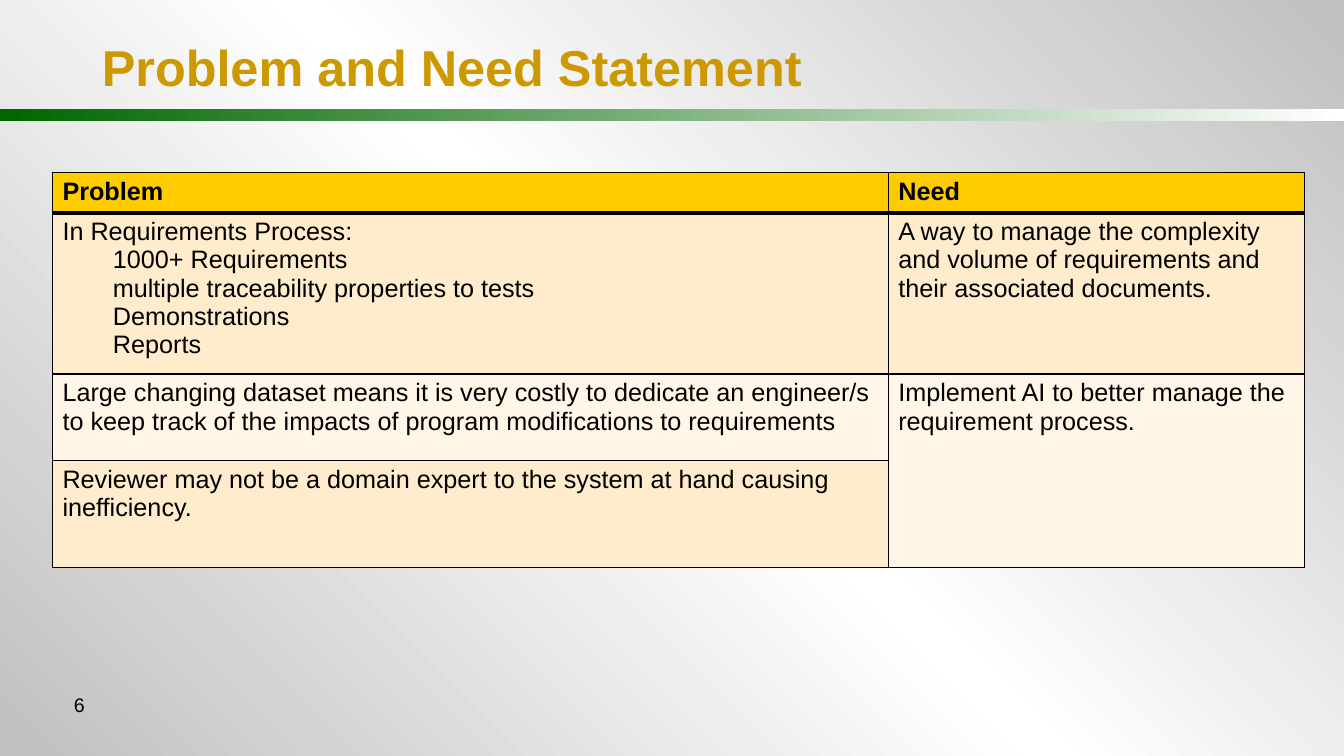
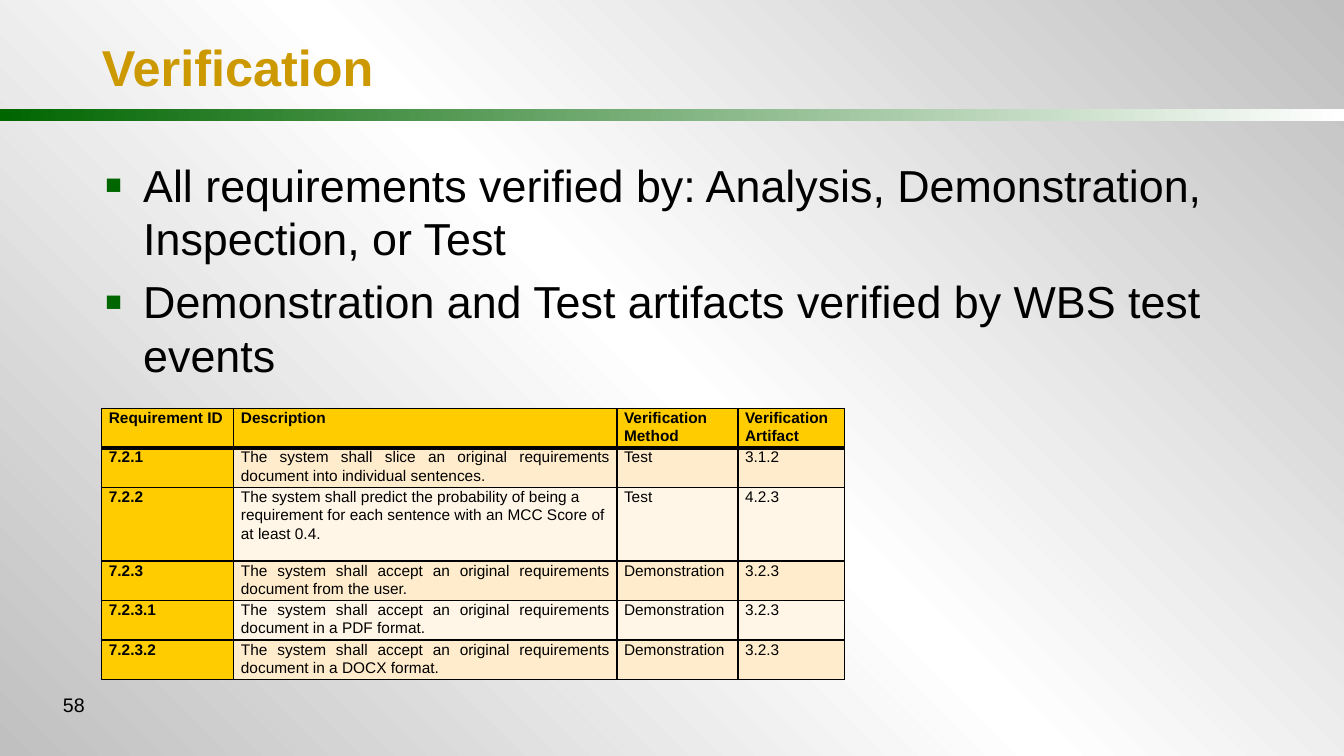
from pptx import Presentation
from pptx.dml.color import RGBColor
from pptx.enum.shapes import MSO_SHAPE
from pptx.enum.text import MSO_ANCHOR, PP_ALIGN
from pptx.oxml.ns import qn
from pptx.util import Inches, Pt
from lxml import etree

RECTANGLE = MSO_SHAPE.RECTANGLE
MIDDLE = MSO_ANCHOR.MIDDLE
LEFT, RIGHT, JUSTIFY = PP_ALIGN.LEFT, PP_ALIGN.RIGHT, PP_ALIGN.JUSTIFY

FONT = "Arial"
COLORS = {
    "title": "CC9900", "text": "000000", "green": "006600",
    "white": "FFFFFF", "silver": "C0C0C0",
    "header": "FFCC00", "odd": "FFECCC", "even": "FFF6E7",
}
TITLE_ONLY, TITLE_AND_CONTENT = 5, 1

# Content: a cell is a string, or a list of a lead line and its indented lines
NEEDS = [
    ["Problem", "Need"],
    [["In Requirements Process:", "1000+ Requirements",
      "multiple traceability properties to tests", "Demonstrations", "Reports"],
     "A way to manage the complexity and volume of requirements and their associated documents."],
    ["Large changing dataset means it is very costly to dedicate an engineer/s "
     "to keep track of the impacts of program modifications to requirements",
     "Implement AI to better manage the requirement process."],
    ["Reviewer may not be a domain expert to the system at hand causing inefficiency.", ""],
]
METHODS = [
    "All requirements verified by: Analysis, Demonstration, Inspection, or Test",
    "Demonstration and Test artifacts verified by WBS test events",
]
REQUIREMENTS = [
    ["Requirement ID", "Description", "Verification Method", "Verification Artifact"],
    ["7.2.1", "The system shall slice an original requirements document into individual sentences.",
     "Test", "3.1.2"],
    ["7.2.2", "The system shall predict the probability of being a requirement "
     "for each sentence with an MCC Score of at least 0.4.", "Test", "4.2.3"],
    ["7.2.3", "The system shall accept an original requirements document from the user.",
     "Demonstration", "3.2.3"],
    ["7.2.3.1", "The system shall accept an original requirements document in a PDF format.",
     "Demonstration", "3.2.3"],
    ["7.2.3.2", "The system shall accept an original requirements document in a DOCX format.",
     "Demonstration", "3.2.3"],
]


def place(shape, left, top, width, height):
    shape.left, shape.top = Inches(left), Inches(top)
    shape.width, shape.height = Inches(width), Inches(height)


def add_run(paragraph, text, size, color="text", bold=False):
    run = paragraph.add_run()
    run.text = text
    run.font.name, run.font.size, run.font.bold = FONT, Pt(size), bold
    run.font.color.rgb = RGBColor.from_string(COLORS[color])


def set_gradient(fill, element, names, angle):
    """Spread the named colours evenly along the gradient."""
    fill.gradient()
    fill.gradient_angle = angle
    stops = next(element.iter(qn("a:gsLst")))
    for stop in list(stops):
        stops.remove(stop)
    for i, name in enumerate(names):
        stop = etree.SubElement(stops, qn("a:gs"), pos=str(100000 * i // (len(names) - 1)))
        etree.SubElement(stop, qn("a:srgbClr"), val=COLORS[name])


def set_indent(paragraph, left, first=0):
    properties = paragraph._p.get_or_add_pPr()
    properties.set("marL", str(Inches(left)))
    properties.set("indent", str(Inches(first)))
    return properties


def add_bullet(paragraph):
    properties = set_indent(paragraph, 0.38, -0.38)
    color = etree.SubElement(properties, qn("a:buClr"))
    etree.SubElement(color, qn("a:srgbClr"), val=COLORS["green"])
    etree.SubElement(properties, qn("a:buSzPct"), val="120000")
    etree.SubElement(properties, qn("a:buFont"), typeface=FONT)
    etree.SubElement(properties, qn("a:buChar"), char="▪")


def set_borders(cell, top, bottom):
    properties = cell._tc.get_or_add_tcPr()
    for side, points in (("L", 1), ("R", 1), ("T", top), ("B", bottom)):
        line = etree.SubElement(properties, qn("a:ln" + side), w=str(Pt(points)))
        fill = etree.SubElement(line, qn("a:solidFill"))
        etree.SubElement(fill, qn("a:srgbClr"), val=COLORS["text"])


def add_grid(slide, rows, left, top, widths, heights, size,
             id_column=False, compact=False, ragged=()):
    """Add a banded table; cells listed in ragged stay left-aligned."""
    table = slide.shapes.add_table(
        len(rows), len(widths), Inches(left), Inches(top),
        Inches(sum(widths)), Inches(sum(heights))).table
    for column, width in zip(table.columns, widths):
        column.width = Inches(width)
    for row, height in zip(table.rows, heights):
        row.height = Inches(height)
    for r, row in enumerate(rows):
        for c, content in enumerate(row):
            cell = table.cell(r, c)
            heading = r == 0 or (id_column and c == 0)
            set_borders(cell, 3 if r == 1 else 1, 3 if r == 0 else 1)
            cell.fill.solid()
            band = "header" if heading else "odd" if r % 2 else "even"
            cell.fill.fore_color.rgb = RGBColor.from_string(COLORS[band])
            if compact:
                cell.margin_left = cell.margin_right = Inches(0.07)
                cell.margin_top = cell.margin_bottom = 0
            lines = content if isinstance(content, list) else [content]
            for i, line in enumerate(lines):
                frame = cell.text_frame
                paragraph = frame.add_paragraph() if i else frame.paragraphs[0]
                if i:
                    set_indent(paragraph, 0.5)
                if compact:
                    paragraph.line_spacing = 1.07
                    paragraph.alignment = LEFT if (r, c) in ragged else JUSTIFY
                if line:
                    add_run(paragraph, line, size, bold=heading)
    return table


def add_slide(prs, layout, title, number):
    slide = prs.slides.add_slide(prs.slide_layouts[layout])
    heading = slide.shapes.title.text_frame.paragraphs[0]
    heading.alignment = LEFT
    add_run(heading, title, 36, "title", bold=True)
    footer = slide.shapes.add_textbox(Inches(0.26), Inches(6.83), Inches(0.68), Inches(0.5))
    footer.text_frame.word_wrap = True
    page = footer.text_frame.paragraphs[0]
    page.alignment = RIGHT
    add_run(page, str(number), 14)
    return slide


def style_master(prs, slide):
    """Background, title place and green band, shared by all slides."""
    master = prs.slide_master
    set_gradient(master.background.fill, master.element, ["silver", "white", "silver"], 45)
    title = master.placeholders[0]
    place(title, 0.91, 0.09, 11.89, 1.14)
    title.text_frame.vertical_anchor = MIDDLE
    band = slide.shapes.add_shape(RECTANGLE, 0, Inches(1.08), prs.slide_width, Inches(0.12))
    band.shadow.inherit = False
    band.line.fill.background()
    set_gradient(band.fill, band.element, ["green", "white"], 0)
    master.shapes.element.insert(2, band.element)


def main():
    prs = Presentation()
    prs.slide_width, prs.slide_height = Inches(13.33), Inches(7.5)

    # Problem and need
    needs = add_slide(prs, TITLE_ONLY, "Problem and Need Statement", 6)
    style_master(prs, needs)
    table = add_grid(needs, NEEDS, 0.52, 1.71, [8.29, 4.13], [0.38, 1.5, 0.86, 1.06], 18)
    table.cell(2, 1).merge(table.cell(3, 1))

    # Verification
    verification = add_slide(prs, TITLE_AND_CONTENT, "Verification", 58)
    body = verification.placeholders[1]
    place(body, 0.94, 1.51, 11.89, 2.43)
    for i, method in enumerate(METHODS):
        frame = body.text_frame
        paragraph = frame.add_paragraph() if i else frame.paragraphs[0]
        paragraph.space_before = Pt(6.4)
        add_bullet(paragraph)
        add_run(paragraph, method, 32)
    heights = [0.73 if row[0] == "7.2.2" else 0.37 for row in REQUIREMENTS]
    add_grid(verification, REQUIREMENTS, 1.01, 4.05, [1.31, 3.8, 1.2, 1.06], heights, 11,
             id_column=True, compact=True, ragged=[(2, 1)])

    prs.save("out.pptx")


if __name__ == "__main__":
    main()
